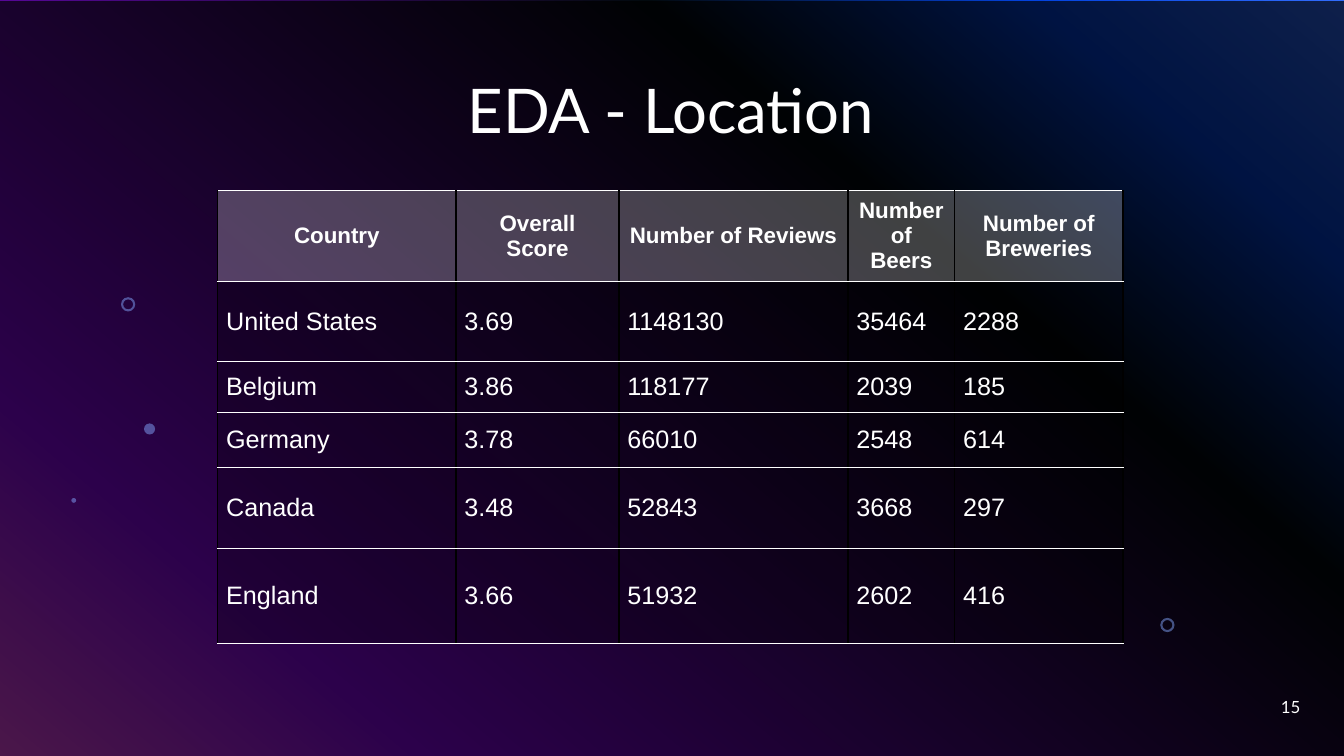
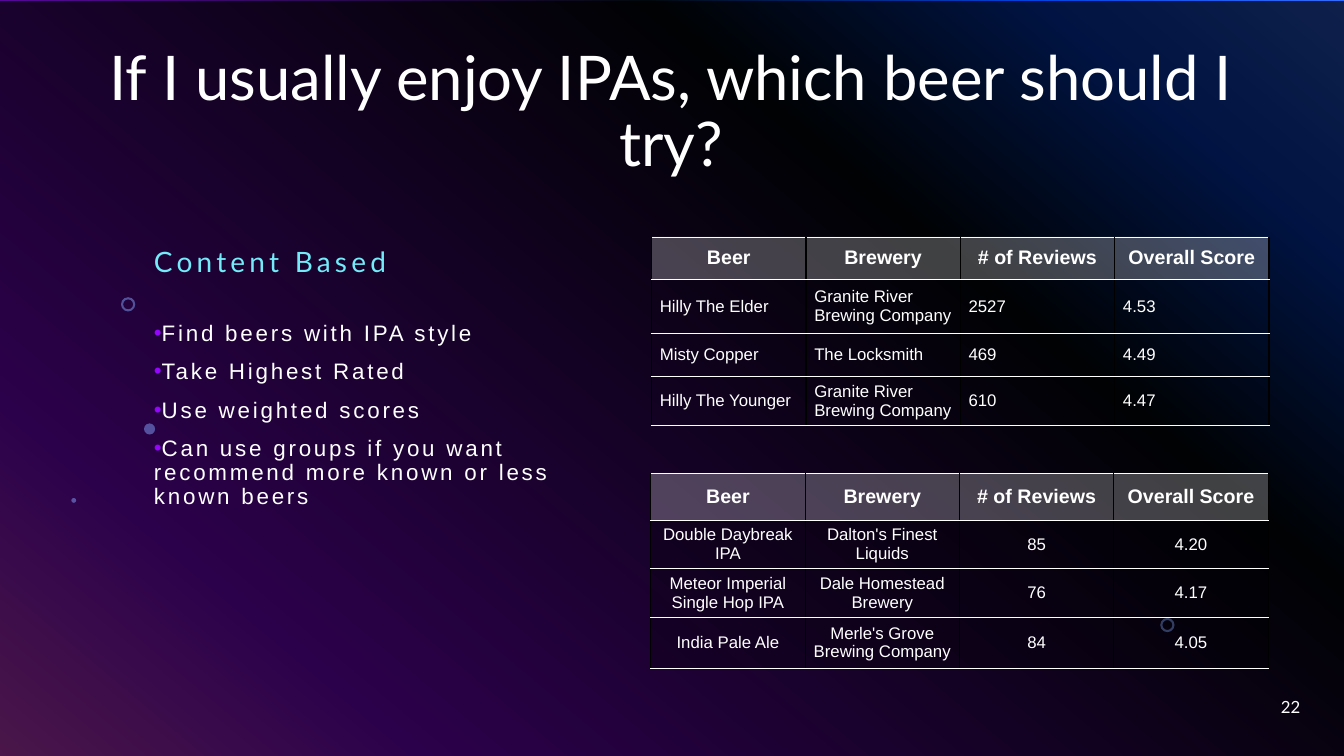
from lxml import etree
from pptx import Presentation
from pptx.dml.color import RGBColor
from pptx.enum.shapes import MSO_SHAPE
from pptx.enum.text import MSO_ANCHOR, PP_ALIGN
from pptx.oxml.ns import qn
from pptx.util import Cm, Pt

RECTANGLE, OVAL, RING = MSO_SHAPE.RECTANGLE, MSO_SHAPE.OVAL, MSO_SHAPE.DONUT
TOP, MIDDLE = MSO_ANCHOR.TOP, MSO_ANCHOR.MIDDLE
LEFT, CENTER, RIGHT = PP_ALIGN.LEFT, PP_ALIGN.CENTER, PP_ALIGN.RIGHT

COLORS = {
    "white": "FFFFFF",
    "black": "000000",
    "cyan": "73EBF9",
    "violet": "9405FC",
    "dot": "83A7FD",
}
BACKDROP = [(0, "316CFC"), (14, "0343DF"), (31, "02090E"), (81, "9405FC"), (100, "FC4EFB")]
HEADING_FONT, BODY_FONT = "Lato", "Arial"
WIDTH, HEIGHT = 33.87, 19.05

TITLE_BOX = (2.31, 1.02, 29.21, 3.68)
NUMBER_BOX = (25.4, 17.3, 7.62, 1.02)
DOTS = [
    (RING, 29.24, 15.57, 0.36),
    (RING, 3.05, 7.49, 0.36),
    (OVAL, 3.63, 10.67, 0.28),
    (OVAL, 1.8, 12.55, 0.12),
]

COUNTRIES = [
    ("Country", "Overall Score", "Number of Reviews", "Number of Beers", "Number of Breweries"),
    ("United States", "3.69", "1148130", "35464", "2288"),
    ("Belgium", "3.86", "118177", "2039", "185"),
    ("Germany", "3.78", "66010", "2548", "614"),
    ("Canada", "3.48", "52843", "3668", "297"),
    ("England", "3.66", "51932", "2602", "416"),
]
BEER_HEADER = ("Beer", "Brewery", "# of Reviews", "Overall Score")
KNOWN_BEERS = [
    BEER_HEADER,
    ("Hilly The Elder", "Granite River Brewing Company", "2527", "4.53"),
    ("Misty Copper", "The Locksmith", "469", "4.49"),
    ("Hilly The Younger", "Granite River Brewing Company", "610", "4.47"),
]
LESSER_BEERS = [
    BEER_HEADER,
    ("Double Daybreak IPA", "Dalton's Finest Liquids", "85", "4.20"),
    ("Meteor Imperial Single Hop IPA", "Dale Homestead Brewery", "76", "4.17"),
    ("India Pale Ale", "Merle's Grove Brewing Company", "84", "4.05"),
]
STEPS = [
    "Find beers with IPA style",
    "Take Highest Rated",
    "Use weighted scores",
    "Can use groups if you want recommend more known or less known beers",
]


def add_color(parent, color, opacity=100):
    node = etree.SubElement(parent, qn("a:srgbClr"), val=color)
    if opacity < 100:
        etree.SubElement(node, qn("a:alpha"), val=str(opacity * 1000))


def paint(fill, properties, color, opacity):
    fill.solid()
    fill.fore_color.rgb = RGBColor.from_string(COLORS[color])
    node = properties.find(qn("a:solidFill") + "/" + qn("a:srgbClr"))
    etree.SubElement(node, qn("a:alpha"), val=str(opacity * 1000))


def set_backdrop(master):
    fill = master.background.fill
    fill.gradient()
    fill.gradient_angle = 230
    stops = next(master.element.iter(qn("a:gsLst")))
    for stop in list(stops):
        stops.remove(stop)
    for position, color in BACKDROP:
        add_color(etree.SubElement(stops, qn("a:gs"), pos=str(position * 1000)), color)


def add_span(para, text, size, font, color="white", bold=False, tracking=0):
    span = para.add_run()
    span.text = text
    span.font.size = Pt(size)
    span.font.name = font
    span.font.bold = bold
    span.font.color.rgb = RGBColor.from_string(COLORS[color])
    if tracking:
        span.font._element.set("spc", str(tracking * 100))


def add_bullet(para, color):
    properties = para._p.get_or_add_pPr()
    properties.set("marL", "0")
    properties.set("indent", "0")
    add_color(etree.SubElement(properties, qn("a:buClr")), COLORS[color])
    etree.SubElement(properties, qn("a:buFont"), typeface=BODY_FONT)
    etree.SubElement(properties, qn("a:buChar"), char="•")


def add_text(page, box, lines, size, font, align=LEFT, anchor=MIDDLE,
             spacing=0.9, bullet=None, **style):
    frame = page.shapes.add_textbox(*map(Cm, box)).text_frame
    frame.word_wrap = True
    frame.vertical_anchor = anchor
    for index, line in enumerate(lines):
        para = frame.add_paragraph() if index else frame.paragraphs[0]
        if bullet:
            add_bullet(para, bullet)
        para.alignment = align
        para.line_spacing = spacing
        if index:
            para.space_before = Pt(10)
        add_span(para, line, size, font, **style)


def add_plain_shape(page, kind, box, color, opacity):
    shape = page.shapes.add_shape(kind, *map(Cm, box))
    shape.shadow.inherit = False
    paint(shape.fill, shape._element.spPr, color, opacity)
    shape.line.fill.background()
    return shape


def add_page(deck, title, number):
    page = deck.slides.add_slide(deck.slide_layouts[6])
    add_plain_shape(page, RECTANGLE, (0, 0.03, WIDTH, HEIGHT - 0.03), "black", 70)
    for kind, left, top, size in DOTS:
        dot = add_plain_shape(page, kind, (left, top, size, size), "dot", 49)
        if kind == RING:
            dot.adjustments[0] = 0.15
    add_text(page, TITLE_BOX, [title], 44, HEADING_FONT, CENTER)
    add_text(page, NUMBER_BOX, [str(number)], 12, HEADING_FONT, RIGHT, spacing=1)
    return page


def add_borders(properties, top, bottom):
    edges = [("lnL", "black", 1), ("lnR", "black", 1),
             ("lnT", "white", top), ("lnB", "white", bottom)]
    for tag, color, width in edges:
        line = etree.SubElement(properties, qn("a:" + tag), w=str(Pt(width)))
        add_color(etree.SubElement(line, qn("a:solidFill")), COLORS[color])


def style_cell(cell, text, row, header_size, body_size, align, shaded):
    header = row == 0
    properties = cell._tc.get_or_add_tcPr()
    add_borders(properties, 1 if row == 1 else 0.5, 1 if header else 0.5)
    if header or shaded:
        paint(cell.fill, properties, "white" if header else "black", 25)
    else:
        cell.fill.background()
    cell.vertical_anchor = MIDDLE
    if not header:
        cell.margin_left = cell.margin_right = Cm(0.21)
        cell.margin_top = cell.margin_bottom = Cm(0.1)
    para = cell.text_frame.paragraphs[0]
    para.alignment = CENTER if header else align
    add_span(para, text, header_size if header else body_size, BODY_FONT, bold=header)


def add_grid(page, left, top, widths, heights, rows, sizes, align=LEFT, shaded=True):
    box = (left, top, sum(widths), sum(heights))
    table = page.shapes.add_table(len(rows), len(widths), *map(Cm, box)).table
    table.first_row = table.horz_banding = False
    for column, width in zip(table.columns, widths):
        column.width = Cm(width)
    for row, height in zip(table.rows, heights):
        row.height = Cm(height)
    for row, texts in enumerate(rows):
        for column, text in enumerate(texts):
            style_cell(table.cell(row, column), text, row, *sizes, align, shaded)


def add_location_page(deck):
    page = add_page(deck, "EDA - Location", 15)
    add_grid(page, 5.49, 4.8, [6, 4.11, 5.77, 2.69, 4.24],
             [1.3, 2.03, 1.27, 1.4, 2.03, 2.39], COUNTRIES, (16, 18))


def add_advice(page, left, top, width):
    add_text(page, (left, top, width, 1.45), ["Content Based"], 20, HEADING_FONT,
             color="cyan", tracking=3)
    add_text(page, (left, top + 2.08, width, 6.4), STEPS, 16, BODY_FONT, anchor=TOP,
             bullet="violet", tracking=2)


def add_recommendation_page(deck):
    page = add_page(deck, "If I usually enjoy IPAs, which beer should I try?", 22)
    add_advice(page, 3.63, 5.92, 10.87)
    widths = [3.89] * len(BEER_HEADER)
    add_grid(page, 16.42, 5.97, widths, [1.07, 1.35, 1.1, 1.1], KNOWN_BEERS, (14, 12),
             shaded=False)
    add_grid(page, 16.4, 11.92, widths, [1.19, 0.91, 0.91, 1.3], LESSER_BEERS, (14, 12),
             align=CENTER)


def main():
    deck = Presentation()
    deck.slide_width, deck.slide_height = Cm(WIDTH), Cm(HEIGHT)
    set_backdrop(deck.slide_master)
    add_location_page(deck)
    add_recommendation_page(deck)
    deck.save("out.pptx")


if __name__ == "__main__":
    main()
